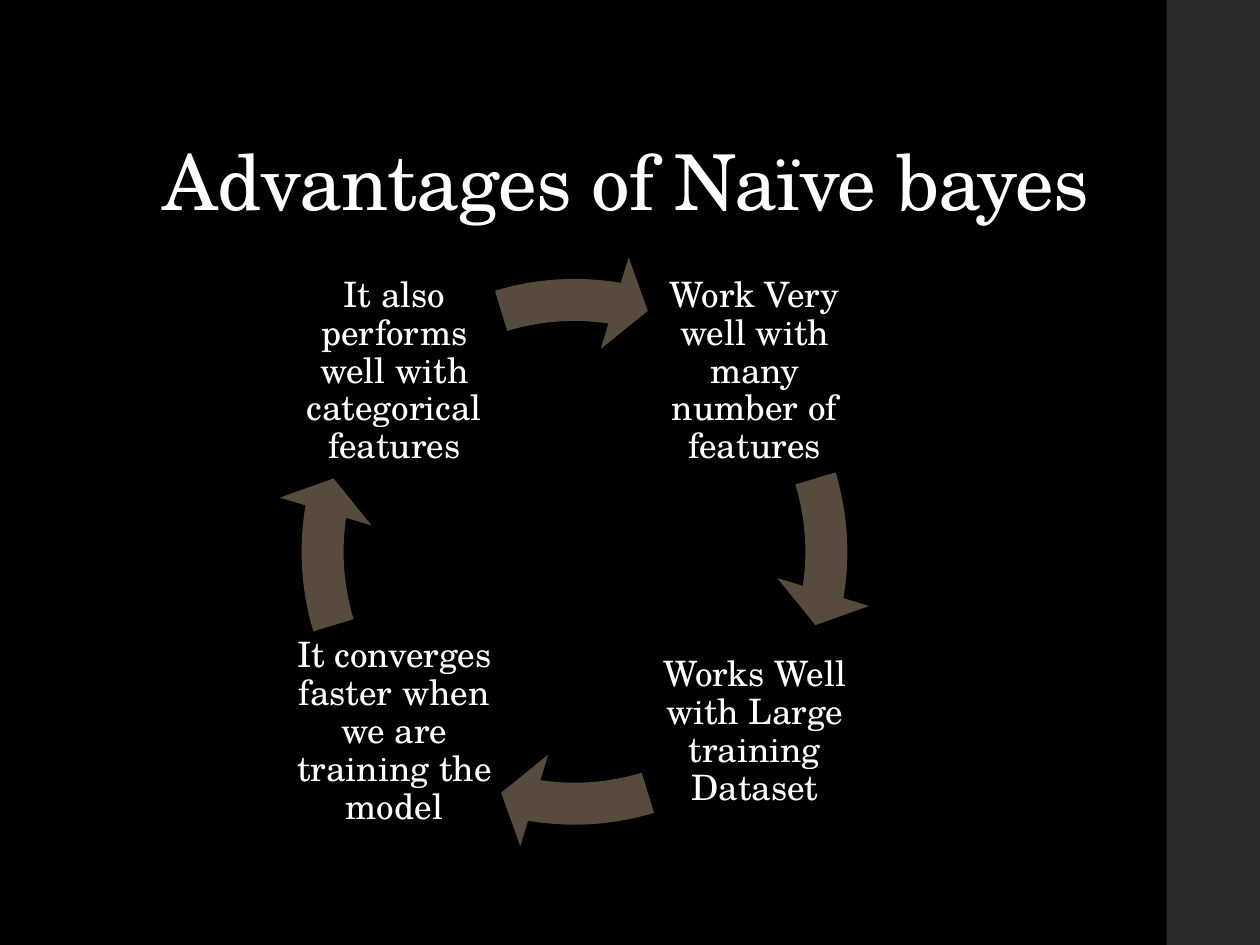
"""Build a slide with a four-step cycle of the advantages of Naïve Bayes."""
from lxml.etree import SubElement
from pptx import Presentation
from pptx.dml.color import RGBColor
from pptx.enum.shapes import MSO_SHAPE as Shape
from pptx.enum.text import MSO_ANCHOR as Anchor, PP_ALIGN as Align
from pptx.oxml.ns import qn
from pptx.util import Inches, Pt

COLORS = {"background": "000000", "bar": "303030", "arrow": "564B3C", "text": "FFFFFF"}
FONT = "TeX Gyre Schola"


def add_text(page, text, place, size, anchor, align, inset=None):
    box = page.shapes.add_textbox(*[Inches(value) for value in place])
    frame = box.text_frame
    frame_format = {"word_wrap": True, "vertical_anchor": anchor}
    if inset is not None:
        for side in ("left", "top", "right", "bottom"):
            frame_format[f"margin_{side}"] = Inches(inset)
    for name, value in frame_format.items():
        setattr(frame, name, value)
    para = frame.paragraphs[0]
    for name, value in {"alignment": align, "line_spacing": 0.9}.items():
        setattr(para, name, value)
    span = para.add_run()
    span.text = text
    for name, value in {"name": FONT, "size": Pt(size)}.items():
        setattr(span.font, name, value)
    span.font.color.rgb = RGBColor.from_string(COLORS["text"])
    return span


def add_filled(page, preset, place, color):
    shape = page.shapes.add_shape(preset, *[Inches(value) for value in place])
    shape.shadow.inherit = False
    shape.fill.solid()
    shape.fill.fore_color.rgb = RGBColor.from_string(COLORS[color])
    shape.line.fill.background()
    return shape


deck = Presentation()
deck.slide_width, deck.slide_height = Inches(10), Inches(7.5)
page = deck.slides.add_slide(deck.slide_layouts[6])
page.background.fill.solid()
page.background.fill.fore_color.rgb = RGBColor.from_string(COLORS["background"])

title = add_text(page, " Advantages of Naïve bayes", (1.03, 0.4, 7.95, 1.45),
                 44, Anchor.BOTTOM, Align.LEFT)
title.font._element.set("spc", "-50")

bar = add_filled(page, Shape.RECTANGLE, (9.26, 0, 0.74, 7.5), "bar")
bar_color = bar._element.spPr.find(qn("a:solidFill")).find(qn("a:srgbClr"))
SubElement(bar_color, qn("a:alpha")).set("val", "90000")

LEFT, RIGHT, TOP, BOTTOM = 2.29, 5.15, 2.11, 4.97
STEP_SIZE = 1.68
QUARTER_TURN, FULL_TURN = 54, 216
steps = [
    ("Work Very well with many number of features", RIGHT, TOP),
    ("Works Well with Large training Dataset", RIGHT, BOTTOM),
    ("It converges faster when we are training the model", LEFT, BOTTOM),
    ("It also performs well with categorical features", LEFT, TOP),
]
for index, (text, left, top) in enumerate(steps):
    add_text(page, text, (left, top, STEP_SIZE, STEP_SIZE),
             20, Anchor.MIDDLE, Align.CENTER, 0.03)
    arrow = add_filled(page, Shape.CIRCULAR_ARROW, (2.18, 2, 4.76, 4.76), "arrow")
    turn = index * QUARTER_TURN
    angles = [(start + turn) % FULL_TURN for start in (5.51, 205.84)]
    for position, value in enumerate([0.07, 4.65, *angles, 0.08]):
        arrow.adjustments[position] = value

deck.save("out.pptx")
